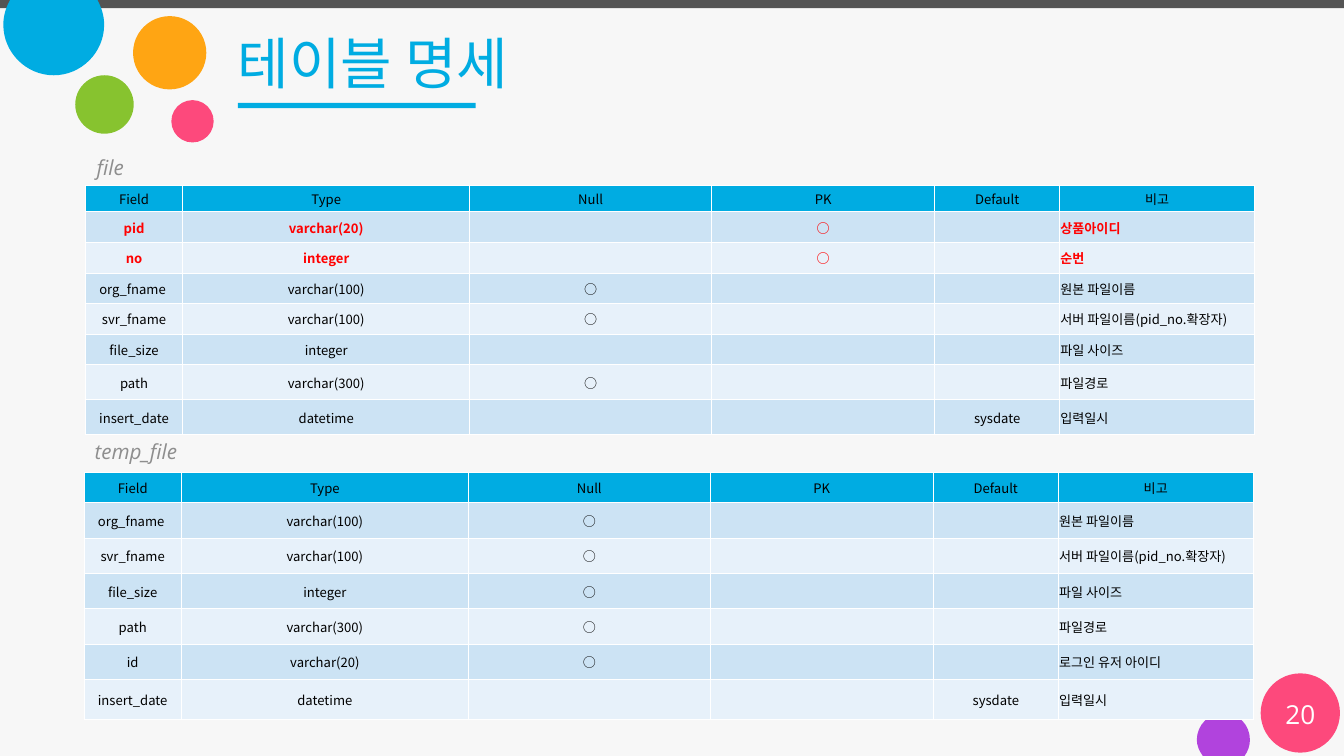
from dataclasses import dataclass

from lxml import etree
from pptx import Presentation
from pptx.dml.color import RGBColor
from pptx.enum.shapes import MSO_SHAPE
from pptx.enum.text import MSO_ANCHOR, PP_ALIGN
from pptx.oxml.ns import qn
from pptx.util import Inches, Pt

RECTANGLE = MSO_SHAPE.RECTANGLE
OVAL = MSO_SHAPE.OVAL
LEFT = PP_ALIGN.LEFT
CENTER = PP_ALIGN.CENTER
TOP = MSO_ANCHOR.TOP
MIDDLE = MSO_ANCHOR.MIDDLE

SLIDE_WIDTH = 20
SLIDE_HEIGHT = 11.25


@dataclass(frozen=True)
class Theme:
    background: str = "F7F7F7"
    bar: str = "545454"
    blue: str = "00ACE2"
    pink: str = "FD497C"
    green: str = "87C32F"
    orange: str = "FFA513"
    purple: str = "B143DD"
    label: str = "8E8E8E"
    white: str = "FFFFFF"
    text: str = "000000"
    key: str = "FF0000"
    bands: tuple = ("CCE3F4", "E7F1FA")
    title_font: str = "Calibri"
    body_font: str = "Open Sans"
    table_font: str = "Noto Sans CJK KR"
    title_size: float = 60
    label_size: float = 22.2
    number_size: float = 28
    table_size: float = 14


class SlideBuilder:
    def __init__(self, slide, theme):
        self.slide = slide
        self.theme = theme
        background = slide.background.fill
        background.solid()
        background.fore_color.rgb = RGBColor.from_string(theme.background)

    def paint(self, shape, color):
        shape.shadow.inherit = False
        shape.fill.solid()
        shape.fill.fore_color.rgb = RGBColor.from_string(color)
        shape.line.fill.background()

    def shape(self, kind, left, top, width, height, color):
        shape = self.slide.shapes.add_shape(
            kind, Inches(left), Inches(top), Inches(width), Inches(height))
        self.paint(shape, color)

    def cut_circle(self, edge_start, edge_end, curves, color):
        points = [edge_start, edge_end, *(point for curve in curves for point in curve)]
        points = [(Inches(x), Inches(y)) for x, y in points]
        builder = self.slide.shapes.build_freeform(*points[0])
        builder.add_line_segments(points[1:], close=True)
        shape = builder.convert_to_shape()
        segments = list(shape._element.iter(qn("a:lnTo")))[1:]
        for first, second, end in zip(segments[::3], segments[1::3], segments[2::3]):
            first.addprevious(curve := etree.Element(qn("a:cubicBezTo")))
            for segment in (first, second, end):
                curve.append(segment[0])
                segment.getparent().remove(segment)
        self.paint(shape, color)

    def set_font(self, paragraph, name, size, color, bold=False, italic=False):
        font = paragraph.font
        font.name = name
        font.size = Pt(size)
        font.bold = bold
        font.italic = italic
        font.color.rgb = RGBColor.from_string(color)
        latin = font._rPr.find(qn("a:latin"))
        latin.addnext(etree.Element(qn("a:ea"), typeface=self.theme.table_font))

    def text(self, left, top, width, height, text, font, size, color,
             anchor=TOP, align=LEFT, italic=False):
        box = self.slide.shapes.add_textbox(
            Inches(left), Inches(top), Inches(width), Inches(height))
        frame = box.text_frame
        frame.word_wrap = True
        frame.vertical_anchor = anchor
        frame.margin_left = frame.margin_right = Inches(0.18)
        frame.margin_top = frame.margin_bottom = Inches(0.09)
        paragraph = frame.paragraphs[0]
        paragraph.text = text
        paragraph.alignment = align
        self.set_font(paragraph, font, size, color, italic=italic)

    def label(self, left, top, text):
        theme = self.theme
        self.text(left, top, 15.67, 0.55, text, theme.body_font,
                  theme.label_size, theme.label, italic=True)

    def border(self, cell, side):
        properties = cell._tc.get_or_add_tcPr()
        line = etree.SubElement(properties, qn(f"a:ln{side}"), w=str(Pt(1)))
        fill = etree.SubElement(line, qn("a:solidFill"))
        etree.SubElement(fill, qn("a:srgbClr"), val=self.theme.white)

    def cell(self, cell, text, fill, color, bold, align):
        theme = self.theme
        for side in "LRTB":
            self.border(cell, side)
        cell.fill.solid()
        cell.fill.fore_color.rgb = RGBColor.from_string(fill)
        cell.vertical_anchor = MIDDLE
        cell.margin_left = cell.margin_right = cell.margin_top = Inches(0.01)
        cell.margin_bottom = 0
        paragraph = cell.text_frame.paragraphs[0]
        if text:
            paragraph.text = text
        paragraph.alignment = align
        self.set_font(paragraph, theme.table_font, theme.table_size, color, bold)

    def table(self, left, top, columns, heights, header, fields, keys=()):
        theme = self.theme
        rows = [header, *fields]
        table = self.slide.shapes.add_table(
            len(rows), len(columns), Inches(left), Inches(top),
            Inches(sum(columns)), Inches(sum(heights))).table
        table.horz_banding = False
        for column, width in zip(table.columns, columns):
            column.width = Inches(width)
        for row, height in zip(table.rows, heights):
            row.height = Inches(height)
        for r, values in enumerate(rows):
            is_header = r == 0
            is_key = values[0] in keys
            fill = theme.blue if is_header else theme.bands[(r - 1) % 2]
            for c, value in enumerate(values):
                is_remark = c == len(columns) - 1 and not is_header
                self.cell(table.cell(r, c), value, fill,
                          theme.key if is_key else theme.text, is_key,
                          LEFT if is_remark else CENTER)


COLUMNS = [1.45, 4.27, 3.6, 3.32, 1.86, 2.9]
FILE_ROW = (3.71 - 0.39 - 2 * 0.52) / 5
TEMP_FILE_ROW = (3.68 - 0.45 - 0.6) / 5
HEADER = ["Field", "Type", "Null", "PK", "Default", "비고"]
ORIGINAL_NAME = ["org_fname ", "varchar(100)", "○", "", "", "원본 파일이름"]
SERVER_NAME = ["svr_fname", "varchar(100)", "○", "", "", "서버 파일이름(pid_no.확장자)"]
FILE_PATH = ["path", "varchar(300)", "○", "", "", "파일경로"]
INSERT_DATE = ["insert_date", "datetime", "", "", "sysdate", "입력일시"]

FILE_FIELDS = [
    ["pid", "varchar(20)", "", "○", "", "상품아이디"],
    ["no", "integer", "", "○", "", "순번"],
    ORIGINAL_NAME,
    SERVER_NAME,
    ["file_size", "integer", "", "", "", "파일 사이즈"],
    FILE_PATH,
    INSERT_DATE,
]
TEMP_FILE_FIELDS = [
    ORIGINAL_NAME,
    SERVER_NAME,
    ["file_size", "integer", "○", "", "", "파일 사이즈"],
    FILE_PATH,
    ["id", "varchar(20)", "○", "", "", "로그인 유저 아이디"],
    INSERT_DATE,
]
BLUE_CURVES = [
    [(1.51, 0.11), (1.55, 0.23), (1.55, 0.37)],
    [(1.55, 0.78), (1.21, 1.12), (0.8, 1.12)],
    [(0.39, 1.12), (0.05, 0.78), (0.05, 0.37)],
    [(0.05, 0.23), (0.09, 0.11), (0.15, 0)],
]
PURPLE_CURVES = [
    [(17.85, 11.18), (17.81, 11.1), (17.81, 11.01)],
    [(17.81, 10.79), (17.99, 10.61), (18.21, 10.61)],
    [(18.43, 10.61), (18.6, 10.79), (18.6, 11.01)],
    [(18.6, 11.1), (18.57, 11.18), (18.52, SLIDE_HEIGHT)],
]


def main():
    presentation = Presentation()
    presentation.slide_width = Inches(SLIDE_WIDTH)
    presentation.slide_height = Inches(SLIDE_HEIGHT)
    theme = Theme()
    slide = SlideBuilder(
        presentation.slides.add_slide(presentation.slide_layouts[6]), theme)

    slide.shape(RECTANGLE, 0, 0, SLIDE_WIDTH, 0.12, theme.bar)
    slide.cut_circle((0.15, 0), (1.45, 0), BLUE_CURVES, theme.blue)
    for left, top, diameter, color in [
        (2.55, 1.49, 0.63, theme.pink),
        (1.12, 1.12, 0.87, theme.green),
        (1.98, 0.24, 1.09, theme.orange),
        (18.76, 10.02, 1.18, theme.pink),
    ]:
        slide.shape(OVAL, left, top, diameter, diameter, color)
    slide.cut_circle((18.52, SLIDE_HEIGHT), (17.9, SLIDE_HEIGHT),
                     PURPLE_CURVES, theme.purple)

    slide.shape(RECTANGLE, 3.54, 1.53, 3.54, 0.08, theme.blue)
    slide.text(3.36, 0.27, 15.69, 1.32, "테이블 명세", theme.title_font,
               theme.title_size, theme.blue, anchor=MIDDLE)
    slide.label(1.26, 2.21, "file")
    slide.text(18.76, 10.32, 1.18, 0.6, "20", theme.body_font,
               theme.number_size, theme.white, anchor=MIDDLE, align=CENTER)

    slide.table(1.27, 2.76, COLUMNS, [0.39] + [FILE_ROW] * 5 + [0.52] * 2,
                HEADER, FILE_FIELDS, keys=("pid", "no"))
    slide.table(1.25, 7.03, COLUMNS, [0.45] + [TEMP_FILE_ROW] * 5 + [0.6],
                HEADER, TEMP_FILE_FIELDS)
    slide.label(1.23, 6.44, "temp_file")

    presentation.save("out.pptx")


if __name__ == "__main__":
    main()
